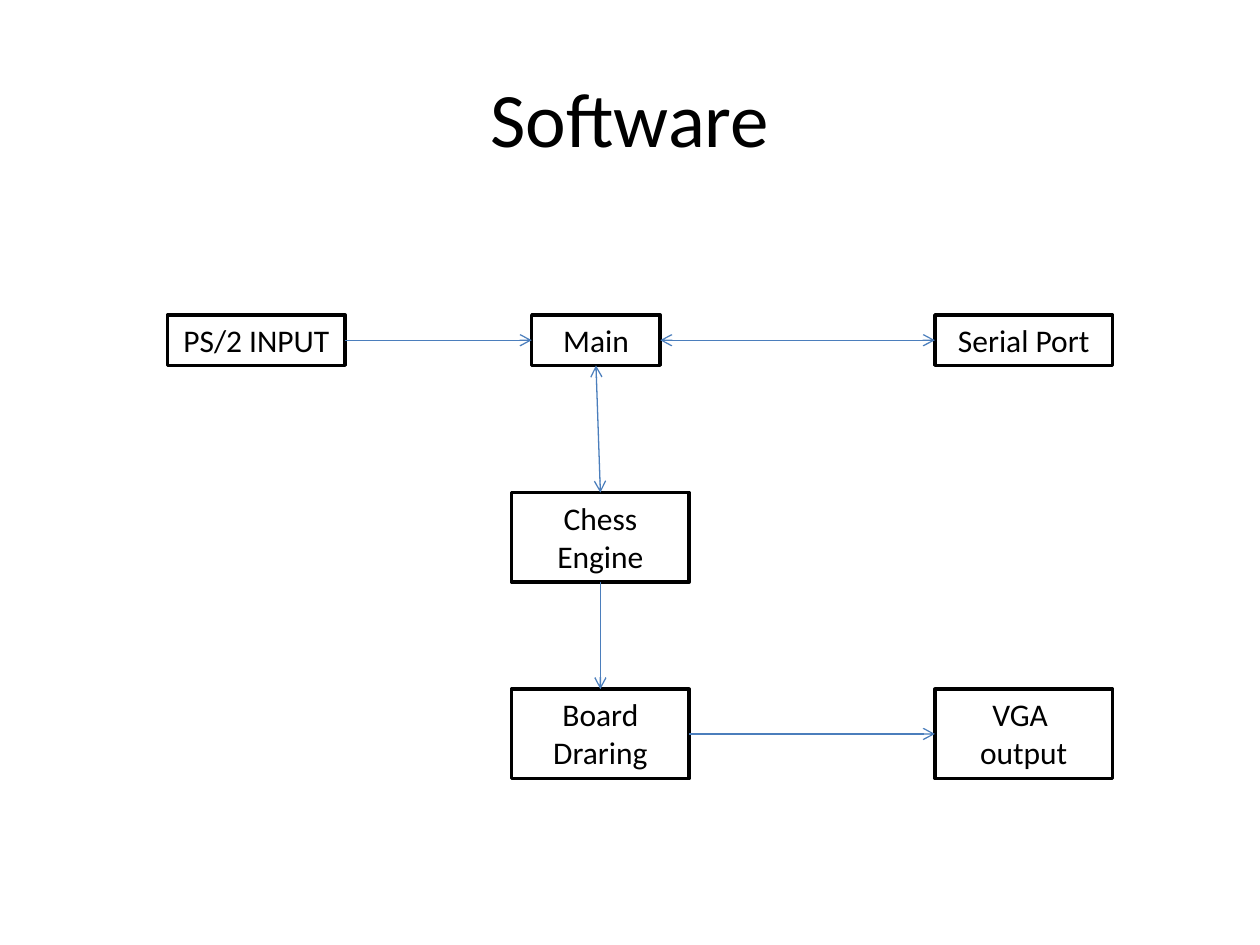
"""Build the software block diagram slide."""
from lxml.etree import SubElement
from pptx import Presentation
from pptx.dml.color import RGBColor
from pptx.enum.shapes import MSO_CONNECTOR, MSO_SHAPE
from pptx.enum.text import MSO_ANCHOR, MSO_AUTO_SIZE, PP_ALIGN
from pptx.oxml.ns import qn
from pptx.util import Inches, Pt

BLACK = RGBColor(0x00, 0x00, 0x00)
WHITE = RGBColor(0xFF, 0xFF, 0xFF)
BLUE = RGBColor(0x4B, 0x7E, 0xBC)

TOP, LEFT, BOTTOM, RIGHT = range(4)
WIDE, NARROW = 1.41, 1.02
ONE_LINE, TWO_LINES = 0.4, 0.71
INPUT_X, CENTER_X, OUTPUT_X = 1.33, 4.06, 7.42
MAIN_Y, ENGINE_Y, DRAWING_Y = 2.5, 3.91, 5.47

TITLE = "Software"
BLOCKS = {
    "main": ("Main", 4.22, MAIN_Y, NARROW, ONE_LINE),
    "output": ("VGA  output", OUTPUT_X, DRAWING_Y, WIDE, TWO_LINES),
    "drawing": ("Board Draring", CENTER_X, DRAWING_Y, WIDE, TWO_LINES),
    "engine": ("Chess Engine", CENTER_X, ENGINE_Y, WIDE, TWO_LINES),
    "input": ("PS/2 INPUT", INPUT_X, MAIN_Y, WIDE, ONE_LINE),
    "serial": ("Serial Port", OUTPUT_X, MAIN_Y, WIDE, ONE_LINE),
}
ONE_WAY, TWO_WAY = ("a:tailEnd",), ("a:headEnd", "a:tailEnd")
ARROWS = [
    ("input", RIGHT, "main", LEFT, ONE_WAY),
    ("main", BOTTOM, "engine", TOP, TWO_WAY),
    ("engine", BOTTOM, "drawing", TOP, ONE_WAY),
    ("drawing", RIGHT, "output", LEFT, ONE_WAY),
    ("main", RIGHT, "serial", LEFT, TWO_WAY),
]


def write(shape, text, size, anchor):
    frame = shape.text_frame
    frame.word_wrap = True
    frame.vertical_anchor = anchor
    para = frame.paragraphs[0]
    para.text = text
    para.alignment = PP_ALIGN.CENTER
    para.font.name = "Calibri"
    para.font.size = Pt(size)
    para.font.color.rgb = BLACK


def add_block(page, text, *place):
    block = page.shapes.add_shape(MSO_SHAPE.RECTANGLE, *map(Inches, place))
    block.shadow.inherit = False
    block.fill.solid()
    block.fill.fore_color.rgb = WHITE
    block.line.color.rgb = BLACK
    block.line.width = Pt(2)
    write(block, text, 18, MSO_ANCHOR.TOP)
    block.text_frame.auto_size = MSO_AUTO_SIZE.SHAPE_TO_FIT_TEXT
    return block


def add_arrow(page, start, start_site, end, end_site, heads):
    arrow = page.shapes.add_connector(MSO_CONNECTOR.STRAIGHT, 0, 0, 0, 0)
    arrow.begin_connect(start, start_site)
    arrow.end_connect(end, end_site)
    arrow.line.color.rgb = BLUE
    arrow.line.width = Pt(0.75)
    properties = arrow._element.spPr
    for head in heads:
        SubElement(properties.find(qn("a:ln")), qn(head), type="arrow")
    SubElement(properties, qn("a:effectLst"))


deck = Presentation()
deck.slide_width, deck.slide_height = Inches(10), Inches(7.5)
page = deck.slides.add_slide(deck.slide_layouts[6])

title = page.shapes.add_textbox(Inches(0.5), Inches(0.3), Inches(9), Inches(1.25))
write(title, TITLE, 44, MSO_ANCHOR.MIDDLE)

blocks = {name: add_block(page, *block) for name, block in BLOCKS.items()}
for start, start_site, end, end_site, heads in ARROWS:
    add_arrow(page, blocks[start], start_site, blocks[end], end_site, heads)

deck.save("out.pptx")
